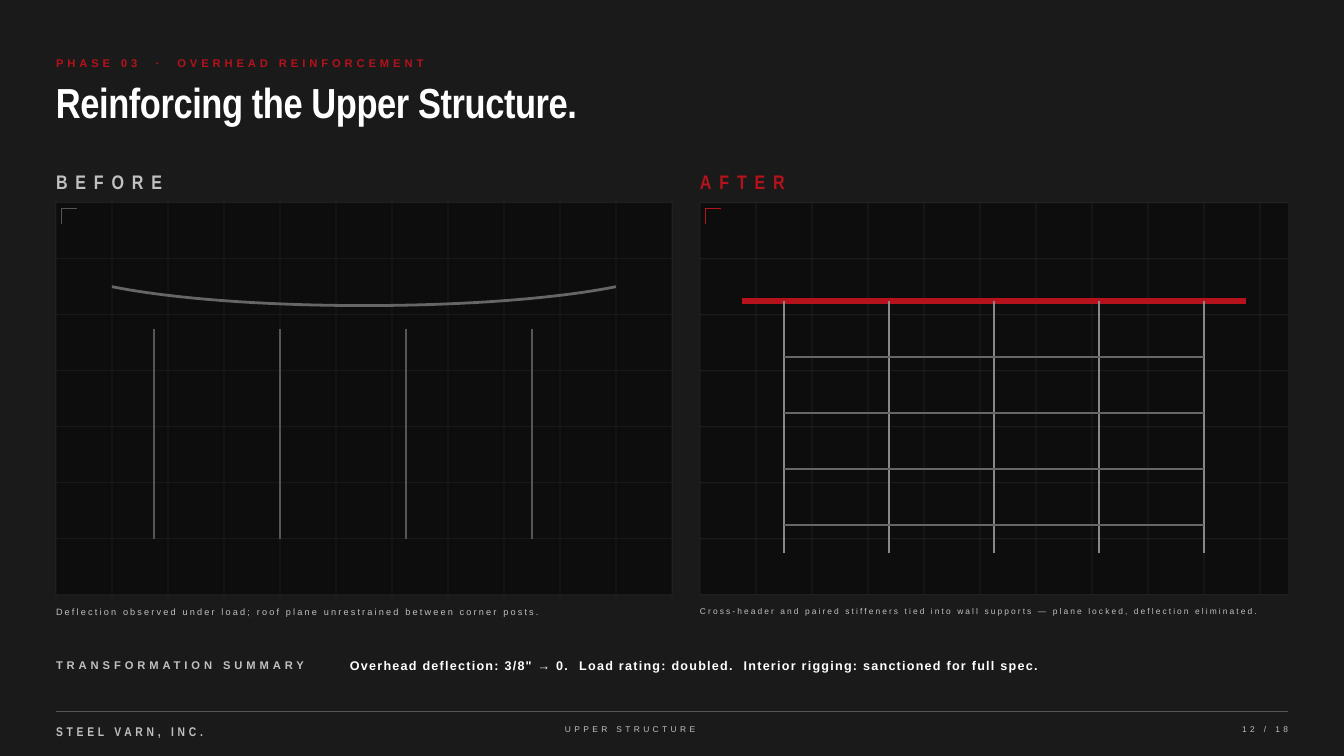
from lxml import etree
from pptx import Presentation
from pptx.dml.color import RGBColor
from pptx.enum.shapes import MSO_CONNECTOR, MSO_SHAPE
from pptx.enum.text import MSO_AUTO_SIZE, PP_ALIGN
from pptx.oxml.ns import qn
from pptx.util import Inches, Pt

STRAIGHT, RECTANGLE = MSO_CONNECTOR.STRAIGHT, MSO_SHAPE.RECTANGLE
LEFT, CENTER, RIGHT = PP_ALIGN.LEFT, PP_ALIGN.CENTER, PP_ALIGN.RIGHT
GROW = MSO_AUTO_SIZE.SHAPE_TO_FIT_TEXT

CHARCOAL = RGBColor(0x1A, 0x1A, 0x1A)
INK = RGBColor(0x0D, 0x0D, 0x0D)
IRON = RGBColor(0x55, 0x55, 0x55)
STEEL = RGBColor(0x66, 0x66, 0x66)
ZINC = RGBColor(0x88, 0x88, 0x88)
SILVER = RGBColor(0xC0, 0xC0, 0xC0)
WHITE = RGBColor(0xFF, 0xFF, 0xFF)
RED = RGBColor(0xB5, 0x12, 0x1B)

COLUMNS, ROWS = 24, 13.5
CELL = Inches(20) / COLUMNS
SLIDE_BOX = (0, 0, COLUMNS, ROWS)
BEFORE_BOX = (1, 3.62, 11, 7)
AFTER_BOX = (12.5, 3.62, 10.5, 7)
HEADER_BOX = (1, 0.96, 17.5, 1.34)
SUMMARY_BOX = (1, 11.7, 22, 0.3)
FOOTER_BOX = (1, 12.7, 22, 0.5)

STYLES = {
    "label": dict(name="Arial", size=12, bold=True, spacing=4.2, leading=16.8),
    "title": dict(name="Arial Narrow", size=45, bold=True, spacing=-0.45, leading=45),
    "heading": dict(name="Arial Narrow", size=21, bold=True, spacing=8.4, leading=29.4),
    "caption": dict(name="Arial", size=9.75, bold=False, spacing=2.34, leading=13.65),
    "small caption": dict(name="Arial", size=9, bold=False, spacing=2.25, leading=12.6),
    "result": dict(name="Arial", size=13.5, bold=True, spacing=1.35, leading=18.9),
    "company": dict(name="Arial Narrow", size=13.5, bold=True, spacing=4.05, leading=18.9),
    "folio": dict(name="Arial", size=9, bold=False, spacing=3.6, leading=12.6),
}


def cells(*counts):
    """Turn counts of grid cells into slide lengths."""
    return [round(count * CELL) for count in counts]


def add_line(slide, start, end, color, weight, opacity=100):
    """Draw a straight line between two grid points."""
    line = slide.shapes.add_connector(STRAIGHT, *cells(*start, *end))
    line.line.color.rgb = color
    line.line.width = Pt(weight)
    properties = line.element.spPr
    if opacity < 100:
        tint = properties.find(".//" + qn("a:srgbClr"))
        etree.SubElement(tint, qn("a:alpha")).set("val", str(opacity * 1000))
    etree.SubElement(properties, qn("a:effectLst"))


def add_text(slide, left, top, width, style, color, *phrases, align=LEFT):
    """Write phrases on one line, with a double-width space between them."""
    form = STYLES[style]
    height = form["leading"] / 60
    frame = slide.shapes.add_textbox(*cells(left, top, width, height)).text_frame
    layout = dict(word_wrap=True, auto_size=GROW, margin_left=0,
                  margin_right=0, margin_top=0, margin_bottom=0)
    for key, value in layout.items():
        setattr(frame, key, value)
    paragraph = frame.paragraphs[0]
    paragraph.alignment = align
    paragraph.line_spacing = Pt(form["leading"])
    wide = 2 * form["spacing"] + 0.28 * form["size"]
    pieces = [(phrases[0], form["spacing"])]
    for phrase in phrases[1:]:
        pieces += [(" ", wide), (phrase, form["spacing"])]
    for words, spacing in pieces:
        run = paragraph.add_run()
        run.text = words
        face = dict(name=form["name"], size=Pt(form["size"]), bold=form["bold"])
        for key, value in face.items():
            setattr(run.font, key, value)
        run.font.color.rgb = color
        run._r.get_or_add_rPr().set("spc", str(round(spacing * 100)))


def add_grid(slide, box, opacity, first):
    """Rule a box into cells, starting from the given line."""
    left, top, width, height = box
    for column in range(first, int(width - first) + 1):
        x = left + column
        add_line(slide, (x, top), (x, top + height), IRON, 0.75, opacity)
    for row in range(first, int(height) + 1):
        y = top + row
        add_line(slide, (left, y), (left + width, y), IRON, 0.75, opacity)


def add_panel(slide, box, heading, heading_color, opacity):
    """Place the heading, dark field and ruled grid of a drawing panel."""
    left, top, width, height = box
    add_text(slide, left, top - 0.66, 11.25, "heading", heading_color, heading)
    field = slide.shapes.add_shape(RECTANGLE, *cells(*box))
    field.shadow.inherit = False
    field.fill.solid()
    field.fill.fore_color.rgb = INK
    field.line.fill.background()
    add_grid(slide, box, opacity, 0)


def add_corner(slide, box, color):
    """Mark the top left corner of a panel."""
    x, y = box[0] + 0.1, box[1] + 0.1
    for end in ((x + 0.28, y), (x, y + 0.28)):
        add_line(slide, (x, y), end, color, 1.5)


def add_sagging_roof(slide, left, top):
    """Draw the deflected roof as a cubic curve."""
    steps = 48
    points = []
    for step in range(steps + 1):
        t = step / steps
        across = 9 * t ** 3 + 3 * t * (1 - t) * (2.25 * (1 - t) + 6.75 * t)
        sag = 3 * 0.45 * t * (1 - t)
        points.append(cells(left + across, top + sag))
    builder = slide.shapes.build_freeform(*points[0])
    builder.add_line_segments(points[1:], close=False)
    roof = builder.convert_to_shape()
    roof.shadow.inherit = False
    roof.fill.background()
    roof.line.color.rgb = STEEL
    roof.line.width = Pt(3)


def add_before(slide, box):
    """Draw the unrestrained roof over its posts."""
    left, top, width, height = box
    add_panel(slide, box, "BEFORE", SILVER, 25)
    add_sagging_roof(slide, left + 1, top + 1.5)
    for post in range(4):
        x = left + 1.75 + 2.25 * post
        add_line(slide, (x, top + 2.25), (x, top + 6), IRON, 2.25)
    add_corner(slide, box, IRON)
    add_text(slide, left, top + height + 0.18, width, "caption", SILVER,
             "Deflection observed under load; roof plane unrestrained between corner posts.")


def add_after(slide, box):
    """Draw the cross-header tied into studs and rails."""
    left, top, width, height = box
    add_panel(slide, box, "AFTER", RED, 35)
    header = top + 1.75
    add_line(slide, (left + 0.75, header), (left + 9.75, header), RED, 6)
    for stud in range(5):
        x = left + 1.5 + 7.5 / 4 * stud
        add_line(slide, (x, header), (x, header + 4.5), ZINC, 3)
    for rail in range(1, 5):
        y = header + rail
        add_line(slide, (left + 1.5, y), (left + 9, y), STEEL, 2.25)
    add_corner(slide, box, RED)
    add_text(slide, left, top + height + 0.18, width, "small caption", SILVER,
             "Cross-header and paired stiffeners tied into wall supports — plane locked, deflection eliminated.")


def add_header(slide, box):
    """Place the phase label and the title."""
    left, top, width, height = box
    add_text(slide, left, top, 11.25, "label", RED, "PHASE 03", "·", "OVERHEAD REINFORCEMENT")
    add_text(slide, left, top + 0.55, width, "title", WHITE, "Reinforcing the Upper Structure.")


def add_summary(slide, box):
    """Place the summary label and its results."""
    left, top, width, height = box
    add_text(slide, left, top + 0.01, 6.25, "label", SILVER, "TRANSFORMATION SUMMARY")
    add_text(slide, left + 5.25, top, width - 5.25, "result", WHITE,
             'Overhead deflection: 3/8" → 0.', "Load rating: doubled.",
             "Interior rigging: sanctioned for full spec.")


def add_footer(slide, box):
    """Place the rule, company, section and page number."""
    left, top, width, height = box
    add_line(slide, (left, top), (left + width, top), IRON, 0.75)
    add_text(slide, left, top + 0.18, 5, "company", SILVER, "STEEL VARN, INC.")
    add_text(slide, left + 5.25, top + 0.2, 10, "folio", SILVER, "UPPER STRUCTURE", align=CENTER)
    add_text(slide, left + width - 2.25, top + 0.2, 2.25, "folio", SILVER, "12 / 18", align=RIGHT)


def main():
    """Build the slide and save it."""
    deck = Presentation()
    deck.slide_width, deck.slide_height = cells(COLUMNS, ROWS)
    slide = deck.slides.add_slide(deck.slide_layouts[6])
    slide.background.fill.solid()
    slide.background.fill.fore_color.rgb = CHARCOAL
    add_grid(slide, SLIDE_BOX, 10, 1)
    add_header(slide, HEADER_BOX)
    add_before(slide, BEFORE_BOX)
    add_after(slide, AFTER_BOX)
    add_summary(slide, SUMMARY_BOX)
    add_footer(slide, FOOTER_BOX)
    deck.save("out.pptx")


if __name__ == "__main__":
    main()
